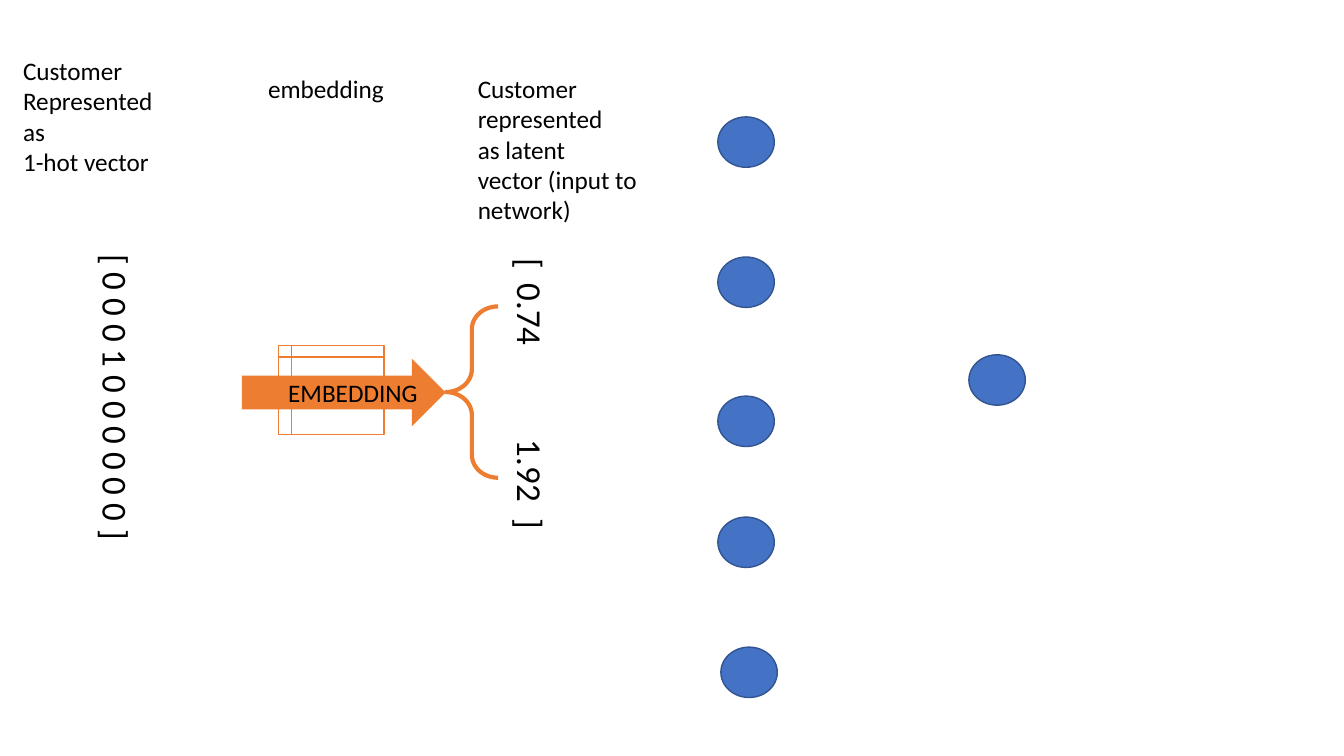
"""Build the customer embedding network slide."""
from dataclasses import dataclass

from lxml.etree import SubElement
from pptx import Presentation
from pptx.dml.color import RGBColor
from pptx.enum.shapes import MSO_SHAPE as Preset
from pptx.enum.text import MSO_AUTO_SIZE as AutoSize
from pptx.oxml.ns import qn
from pptx.util import Inches, Pt

COLORS = {
    "text": "000000",
    "neuron": "4472C4",
    "neuron_edge": "325491",
    "embedding": "ED7D31",
}
FONT = "Calibri"
NEURON_WIDTH, NEURON_HEIGHT = 0.56, 0.5


@dataclass(frozen=True)
class Box:
    """A rectangle on the slide, in inches."""
    left: float
    top: float
    width: float
    height: float

    def lengths(self) -> list:
        """Return the four sides as lengths."""
        return [Inches(v) for v in (self.left, self.top, self.width, self.height)]


@dataclass(frozen=True)
class Label:
    """A text box with its format."""
    text: str
    box: Box
    size: int = 18
    rotation: int = 0
    tabs: tuple = ()


NEURONS = [(7.12, 1.16), (7.12, 2.55), (7.12, 3.93), (7.12, 5.13), (7.15, 6.42),
           (9.61, 3.52)]

LABELS = [
    Label("[ 0 0 0 1 0 0 0 0 0 0 ]", Box(-1.02, 4.34, 4.35, 0.52), 25, 90),
    Label("EMBEDDING", Box(2.76, 3.69, 1.52, 0.4)),
    Label("Customer\nRepresented\nas\n1-hot vector", Box(0.13, 0.5, 2.12, 1.31)),
    Label("Customer represented\nas latent\nvector (input to\nnetwork)",
          Box(4.64, 0.68, 2.12, 1.62)),
    Label("embedding", Box(2.56, 0.68, 2.12, 0.4)),
    Label("[\t0.74\t1.92\t]", Box(3.09, 4.38, 4.35, 0.52), 25, 90, (0.25, 1.8, 2.58)),
]


def rgb(name: str) -> RGBColor:
    """Look up a named colour."""
    return RGBColor.from_string(COLORS[name])


def add_preset(slide, preset: Preset, box: Box, fill: str = "", line: str = "",
               line_width: float = 1):
    """Draw a preset shape with an optional fill and outline."""
    shape = slide.shapes.add_shape(preset, *box.lengths())
    shape.shadow.inherit = False
    if fill:
        shape.fill.solid()
        shape.fill.fore_color.rgb = rgb(fill)
    else:
        shape.fill.background()
    if line:
        shape.line.color.rgb = rgb(line)
        shape.line.width = Pt(line_width)
    else:
        shape.line.fill.background()
    return shape


def add_text(slide, text: str, box: Box, *, size: int, rotation: int = 0,
             tabs: tuple = (), color: str = "text") -> None:
    """Write one paragraph per line in a text box."""
    shape = slide.shapes.add_textbox(*box.lengths())
    shape.rotation = rotation
    frame = shape.text_frame
    frame.word_wrap = True
    frame.auto_size = AutoSize.SHAPE_TO_FIT_TEXT
    for index, content in enumerate(text.split("\n")):
        paragraph = frame.add_paragraph() if index else frame.paragraphs[0]
        if tabs:
            tab_list = SubElement(paragraph._p.get_or_add_pPr(), qn("a:tabLst"))
            for position in tabs:
                SubElement(tab_list, qn("a:tab"), pos=str(Inches(position)), algn="l")
        run = paragraph.add_run()
        run.text = content
        run.font.name = FONT
        run.font.size = Pt(size)
        run.font.color.rgb = rgb(color)


def main() -> None:
    """Build and save the presentation."""
    presentation = Presentation()
    presentation.slide_width = Inches(13.33)
    presentation.slide_height = Inches(7.5)
    slide = presentation.slides.add_slide(presentation.slide_layouts[6])

    add_preset(slide, Preset.FLOWCHART_INTERNAL_STORAGE, Box(2.76, 3.43, 1.05, 0.88),
               line="embedding")
    for left, top in NEURONS:
        add_preset(slide, Preset.OVAL, Box(left, top, NEURON_WIDTH, NEURON_HEIGHT),
                   fill="neuron", line="neuron_edge")
    add_preset(slide, Preset.RIGHT_ARROW, Box(2.4, 3.56, 2.02, 0.67), fill="embedding")
    brace = add_preset(slide, Preset.LEFT_BRACE, Box(4.42, 3.04, 0.52, 1.7),
                       line="embedding", line_width=3)
    brace.adjustments[0] = 0.435
    for label in LABELS:
        add_text(slide, label.text, label.box, size=label.size,
                 rotation=label.rotation, tabs=label.tabs)

    presentation.save("out.pptx")


if __name__ == "__main__":
    main()
